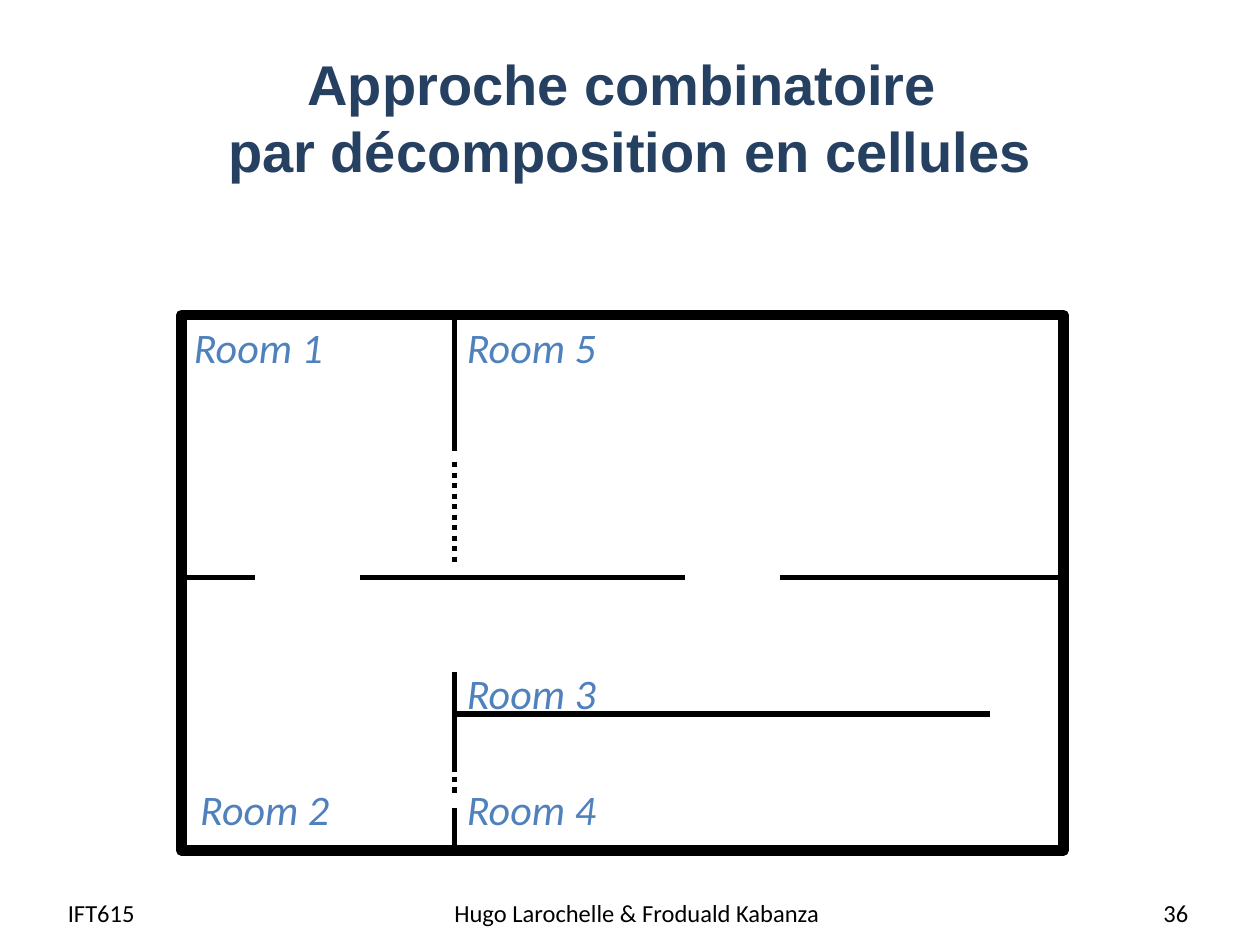
from lxml.etree import SubElement
from pptx import Presentation
from pptx.dml.color import RGBColor
from pptx.enum.dml import MSO_LINE
from pptx.enum.shapes import MSO_CONNECTOR, MSO_SHAPE
from pptx.enum.text import MSO_ANCHOR, PP_ALIGN
from pptx.oxml.ns import qn
from pptx.util import Inches, Pt

PLAN_LEFT, PLAN_TOP = 1.44, 2.5
COLUMNS, ROWS = 84, 51
CELL = 1 / 12
DOOR_COLUMN, HALL_ROW, SHELF_ROW = 26, 25, 38

WALLS = [
    (0, HALL_ROW, 7, HALL_ROW),
    (17, HALL_ROW, 48, HALL_ROW),
    (57, HALL_ROW, COLUMNS, HALL_ROW),
    (DOOR_COLUMN, SHELF_ROW, 77, SHELF_ROW),
    (DOOR_COLUMN, 0, DOOR_COLUMN, 13),
    (DOOR_COLUMN, 34, DOOR_COLUMN, 43),
    (DOOR_COLUMN, 47, DOOR_COLUMN, ROWS),
]
DOORS = [
    (DOOR_COLUMN, 14, DOOR_COLUMN, 24),
    (DOOR_COLUMN, 43, DOOR_COLUMN, 46),
]
ROOMS = [
    ("Room 1", -0.6, 0),
    ("Room 2", 0, 44),
    ("Room 3", 25.4, 33),
    ("Room 4", 25.4, 44),
    ("Room 5", 25.4, 0),
]
FOOTERS = [
    ("IFT615", 0.44, 1.93, PP_ALIGN.LEFT),
    ("Hugo Larochelle & Froduald Kabanza", 3.47, 3.17, PP_ALIGN.CENTER),
    ("36", 7.2, 2.33, PP_ALIGN.RIGHT),
]


def color(value):
    """Turn a hex string into a colour."""
    return RGBColor.from_string(value)


def grid_x(column):
    """Return the horizontal place of a plan column."""
    return Inches(PLAN_LEFT + column * CELL)


def grid_y(row):
    """Return the vertical place of a plan row."""
    return Inches(PLAN_TOP + row * CELL)


def write(shape, text, size, hue, font="Calibri", align=PP_ALIGN.CENTER,
          anchor=MSO_ANCHOR.TOP, wrap=True, bold=False, italic=False):
    """Put formatted text into a shape."""
    frame = shape.text_frame
    frame.word_wrap = wrap
    frame.vertical_anchor = anchor
    para = frame.paragraphs[0]
    para.text = text
    para.alignment = align
    for span in para.runs:
        span.font.name = font
        span.font.size = Pt(size)
        span.font.bold = bold
        span.font.italic = italic
        span.font.color.rgb = color(hue)


def add_title(page, text):
    """Place and fill the title placeholder."""
    title = page.shapes.title
    title.left, title.top = Inches(0.5), Inches(0.3)
    title.width, title.height = Inches(9), Inches(1.25)
    write(title, text, 32, "254061", font="Arial",
          anchor=MSO_ANCHOR.MIDDLE, bold=True)


def add_outline(page):
    """Draw the outer wall of the floor plan."""
    box = page.shapes.add_shape(
        MSO_SHAPE.RECTANGLE, grid_x(0), grid_y(0),
        Inches(COLUMNS * CELL), Inches(ROWS * CELL))
    box.shadow.inherit = False
    box.fill.background()
    box.line.color.rgb = color("000000")
    box.line.width = Pt(6)


def add_wall(page, start_column, start_row, end_column, end_row, dash=None):
    """Draw a wall or a dotted door between two grid points."""
    wall = page.shapes.add_connector(
        MSO_CONNECTOR.STRAIGHT, grid_x(start_column), grid_y(start_row),
        grid_x(end_column), grid_y(end_row))
    wall.line.color.rgb = color("000000")
    wall.line.width = Pt(3)
    if dash:
        wall.line.dash_style = dash
    SubElement(wall._element.spPr, qn("a:effectLst"))


def add_room(page, name, column, row):
    """Label a room of the floor plan."""
    box = page.shapes.add_textbox(
        grid_x(column), grid_y(row), Inches(1.32), Inches(0.51))
    write(box, name, 24, "4F81BD", wrap=False, italic=True)


def add_footer(page, text, left, width, align):
    """Add one part of the footer line."""
    box = page.shapes.add_textbox(
        Inches(left), Inches(7.04), Inches(width), Inches(0.4))
    write(box, text, 14, "000000", align=align, anchor=MSO_ANCHOR.MIDDLE)


def main():
    """Build and save the deck."""
    deck = Presentation()
    deck.slide_width, deck.slide_height = Inches(10), Inches(7.5)
    page = deck.slides.add_slide(deck.slide_layouts[5])
    add_title(page, "Approche combinatoire \vpar décomposition en cellules")
    add_outline(page)
    for wall in WALLS:
        add_wall(page, *wall)
    for door in DOORS:
        add_wall(page, *door, dash=MSO_LINE.ROUND_DOT)
    for room in ROOMS:
        add_room(page, *room)
    for footer in FOOTERS:
        add_footer(page, *footer)
    deck.save("out.pptx")


if __name__ == "__main__":
    main()
